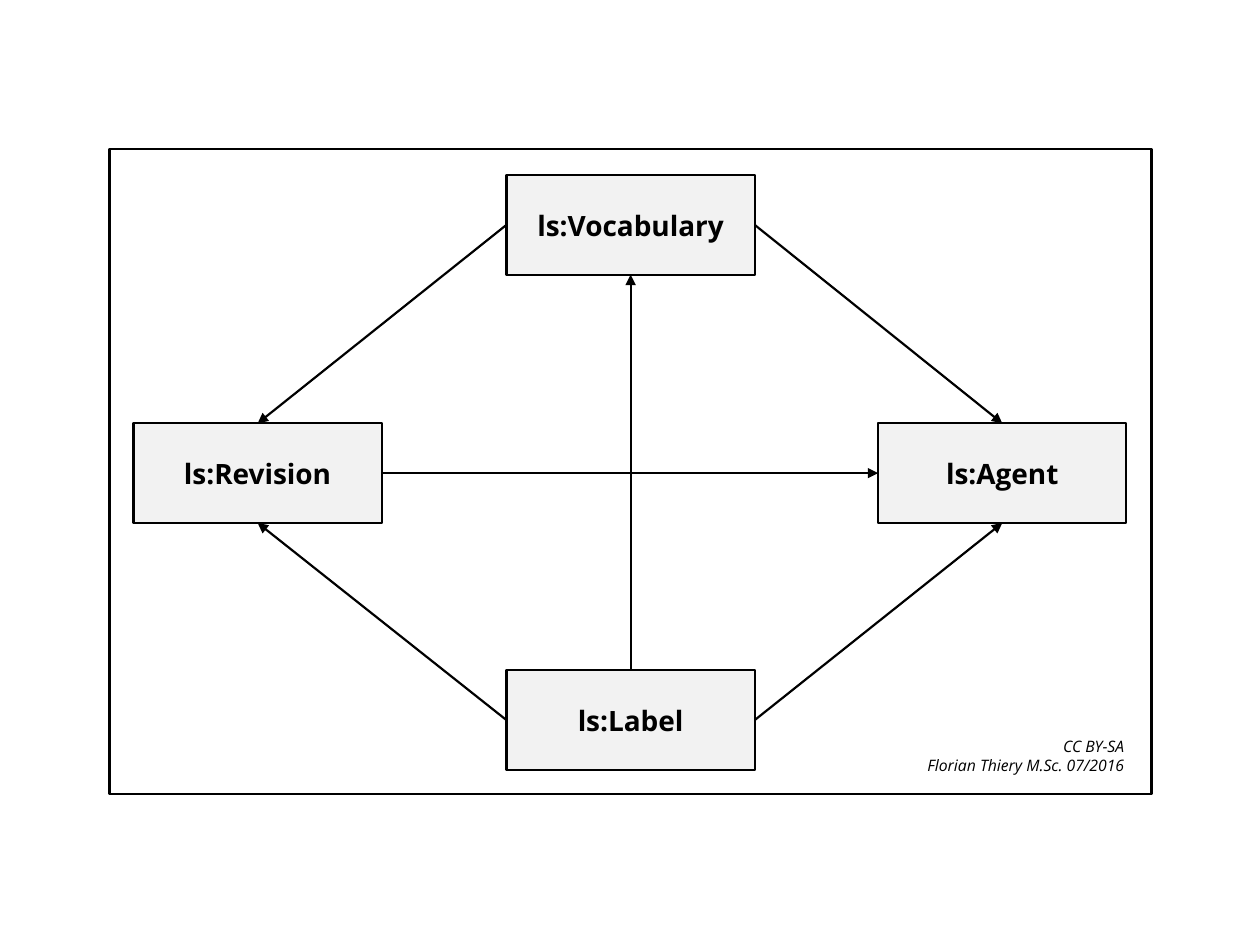
import pptx
import pptx.dml.color
import pptx.enum.shapes
import pptx.enum.text
import pptx.oxml
import pptx.oxml.ns
import pptx.util
from pptx.util import Inches

FONT = "Open Sans"
BLACK, WHITE, GREY = "000000", "FFFFFF", "F2F2F2"
LINE_WIDTH = 1.25
BOX_WIDTH, BOX_HEIGHT = 1.97, 0.79
TOP, LEFT, BOTTOM, RIGHT = range(4)

CLASSES = {
    "ls:Vocabulary": (4.02, 1.39),
    "ls:Revision": (1.06, 3.36),
    "ls:Agent": (6.97, 3.36),
    "ls:Label": (4.02, 5.32),
}
RELATIONS = [
    ("ls:Revision", RIGHT, "ls:Agent", LEFT),
    ("ls:Label", RIGHT, "ls:Agent", BOTTOM),
    ("ls:Vocabulary", RIGHT, "ls:Agent", TOP),
    ("ls:Vocabulary", LEFT, "ls:Revision", TOP),
    ("ls:Label", TOP, "ls:Vocabulary", BOTTOM),
    ("ls:Label", LEFT, "ls:Revision", BOTTOM),
]


def color(value):
    return pptx.dml.color.RGBColor.from_string(value)


def set_line(line):
    line.color.rgb = color(BLACK)
    line.width = pptx.util.Pt(LINE_WIDTH)


def add_rectangle(slide, left, top, width, height, fill, outlined=True):
    shape = slide.shapes.add_shape(
        pptx.enum.shapes.MSO_SHAPE.RECTANGLE,
        Inches(left), Inches(top), Inches(width), Inches(height))
    shape.shadow.inherit = False
    shape.fill.solid()
    shape.fill.fore_color.rgb = color(fill)
    if outlined:
        set_line(shape.line)
    else:
        shape.line.fill.background()
    return shape


def write_text(shape, lines, size, alignment, bold=False, italic=False):
    frame = shape.text_frame
    frame.word_wrap = True
    frame.vertical_anchor = pptx.enum.text.MSO_ANCHOR.MIDDLE
    frame.text = "\n".join(lines)
    for paragraph in frame.paragraphs:
        paragraph.alignment = alignment
        font = paragraph.font
        font.name = FONT
        font.size = pptx.util.Pt(size)
        font.bold = bold
        font.italic = italic
        font.color.rgb = color(BLACK)


def add_class_box(slide, name, left, top):
    shape = add_rectangle(slide, left, top, BOX_WIDTH, BOX_HEIGHT, GREY)
    write_text(shape, [name], 16, pptx.enum.text.PP_ALIGN.CENTER, bold=True)
    return shape


def add_arrow(slide, source, source_side, target, target_side):
    connector = slide.shapes.add_connector(
        pptx.enum.shapes.MSO_CONNECTOR.STRAIGHT, 0, 0, 0, 0)
    connector.begin_connect(source, source_side)
    connector.end_connect(target, target_side)
    set_line(connector.line)
    properties = connector.line._get_or_add_ln()
    properties.append(pptx.oxml.parse_xml(
        f'<a:tailEnd {pptx.oxml.ns.nsdecls("a")} type="triangle"/>'))
    properties.addnext(pptx.oxml.parse_xml(
        f'<a:effectLst {pptx.oxml.ns.nsdecls("a")}/>'))


def add_credit(slide):
    shape = add_rectangle(slide, 7.2, 5.8, 1.82, 0.39, WHITE, outlined=False)
    write_text(shape, ["CC BY-SA", "Florian Thiery M.Sc. 07/2016"], 9,
               pptx.enum.text.PP_ALIGN.RIGHT, italic=True)


def main():
    presentation = pptx.Presentation()
    presentation.slide_width = Inches(10)
    presentation.slide_height = Inches(7.5)
    slide = presentation.slides.add_slide(presentation.slide_layouts[6])
    add_rectangle(slide, 0.87, 1.18, 8.27, 5.12, WHITE)
    boxes = {name: add_class_box(slide, name, left, top)
             for name, (left, top) in CLASSES.items()}
    for source, source_side, target, target_side in RELATIONS:
        add_arrow(slide, boxes[source], source_side, boxes[target], target_side)
    add_credit(slide)
    presentation.save("out.pptx")


main()
